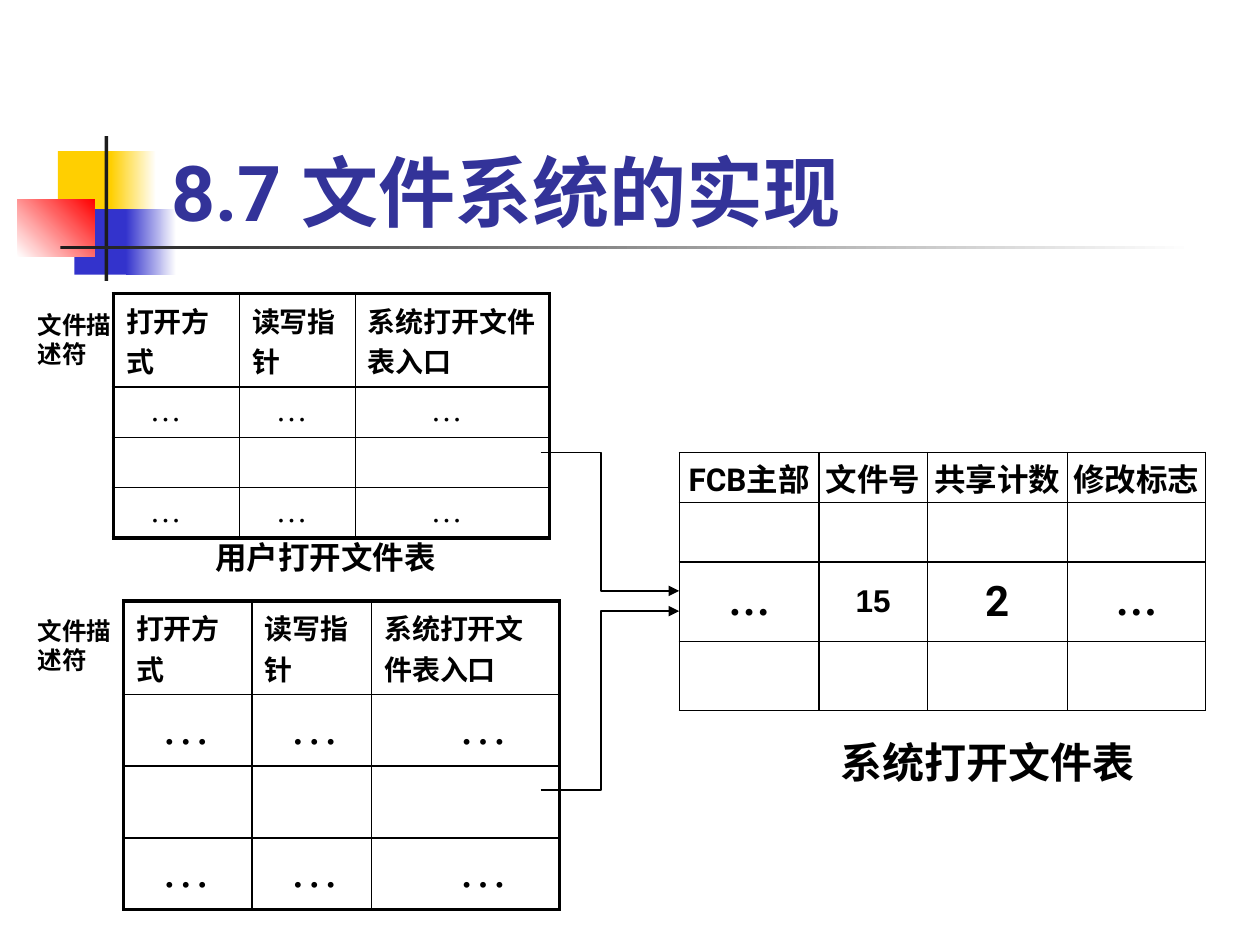
from dataclasses import dataclass
from typing import Any

from lxml.etree import SubElement
from pptx import Presentation
from pptx.dml.color import RGBColor
from pptx.enum.shapes import MSO_SHAPE
from pptx.enum.text import MSO_ANCHOR, MSO_AUTO_SIZE, PP_ALIGN
from pptx.oxml.ns import qn
from pptx.util import Inches, Pt

BLACK = "000000"
WHITE = "FFFFFF"
YELLOW = "FFCF01"
BLUE = "3333CC"
RED = "FF0000"
CHARCOAL = "1C1C1C"
TITLE_BLUE = "333399"
DOTS = "…"


@dataclass
class Block:
    box: tuple[float, float, float, float]
    colors: tuple[str, ...]
    angle: int = 0


@dataclass
class TextStyle:
    size: float
    font: str = "Roboto"
    bold: bool = True
    color: str = BLACK


@dataclass
class Caption:
    text: str
    box: tuple[float, float, float, float]
    style: TextStyle


@dataclass
class Grid:
    left: float
    top: float
    columns: tuple[float, ...]
    rows: tuple[float, ...]
    outer: float
    inner: float


@dataclass
class UserFileTable:
    grid: Grid
    dots: TextStyle
    indents: tuple[float, ...]


HEADER = TextStyle(16)
LABEL = TextStyle(14, "Arial")

BLOCKS = [
    Block((0.46, 1.2, 0.48, 0.52), (YELLOW,)),
    Block((0.88, 1.2, 0.36, 0.52), (YELLOW, WHITE)),
    Block((0.59, 1.66, 0.46, 0.52), (BLUE,)),
    Block((1, 1.66, 0.4, 0.52), (BLUE, WHITE)),
    Block((0.14, 1.58, 0.61, 0.46), (WHITE, RED), 45),
    Block((0.83, 1.08, 0.03, 1.15), (CHARCOAL,)),
    Block((0.48, 1.95, 9, 0.03), (CHARCOAL, WHITE)),
]
USER_TABLES = [
    UserFileTable(
        Grid(0.9, 2.33, (1, 0.92, 1.54), (0.63, 0.4, 0.4, 0.4), 2.25, 1),
        TextStyle(18, "Times New Roman", False), (0.29, 0.29, 0.6)),
    UserFileTable(
        Grid(0.98, 4.77, (1.02, 0.95, 1.49), (0.63, 0.57, 0.57, 0.57), 2.25, 1),
        TextStyle(28, "Times New Roman", False), (0.3, 0.3, 0.69)),
]
USER_HEADERS = ("打开方式", "读写指针", "系统打开文件表入口")
SYSTEM_GRID = Grid(5.39, 3.59, (1.11, 0.86, 1.11, 1.1), (0.4, 0.47, 0.63, 0.55), 0.75, 0.75)
SYSTEM_HEADERS = ("FCB主部", "文件号", "共享计数", "修改标志")
SYSTEM_ENTRY = (
    (DOTS, TextStyle(24, "Times New Roman")),
    ("15", TextStyle(18, "Arial")),
    ("2", TextStyle(24)),
    (DOTS, TextStyle(24, "Times New Roman")),
)
CAPTIONS = [
    Caption("文件描述符", (0.2, 2.41, 0.79, 0.57), LABEL),
    Caption("文件描述符", (0.2, 4.84, 0.79, 0.57), LABEL),
    Caption("用户打开文件表", (1.61, 4.22, 2.28, 0.4), TextStyle(18, "Arial")),
    Caption("系统打开文件表", (6.57, 5.8, 2.6, 0.5), TextStyle(24)),
]
POINTERS = [(3.59, 4.69), (6.27, 4.85)]


def rgb(value: str) -> RGBColor:
    return RGBColor.from_string(value)


def apply(target: Any, formats: dict[str, Any]) -> None:
    for name, value in formats.items():
        setattr(target, name, value)


def write(frame: Any, text: str, style: TextStyle, align: Any = PP_ALIGN.LEFT) -> None:
    paragraph = frame.paragraphs[0]
    paragraph.alignment = align
    target = paragraph
    if text:
        target = paragraph.add_run()
        target.text = text
    apply(target.font, {"size": Pt(style.size), "name": style.font, "bold": style.bold})
    target.font.color.rgb = rgb(style.color)


def draw_block(shapes: Any, block: Block) -> None:
    shape = shapes.add_shape(MSO_SHAPE.RECTANGLE, *map(Inches, block.box))
    shape.shadow.inherit = False
    shape.line.fill.background()
    if len(block.colors) == 1:
        shape.fill.solid()
        shape.fill.fore_color.rgb = rgb(block.colors[0])
        return
    shape.fill.gradient()
    shape.fill.gradient_angle = block.angle
    for position, (stop, color) in enumerate(zip(shape.fill.gradient_stops, block.colors)):
        stop.position = position
        stop.color.rgb = rgb(color)


def set_borders(cell: Any, widths: dict[str, float]) -> None:
    properties = cell._tc.get_or_add_tcPr()
    for side, width in widths.items():
        line = SubElement(properties, qn(f"a:ln{side}"), w=str(Pt(width)))
        fill = SubElement(line, qn("a:solidFill"))
        SubElement(fill, qn("a:srgbClr"), val=BLACK)


def draw_grid(shapes: Any, grid: Grid) -> Any:
    last_row, last_column = len(grid.rows) - 1, len(grid.columns) - 1
    table = shapes.add_table(
        last_row + 1, last_column + 1, Inches(grid.left), Inches(grid.top),
        Inches(sum(grid.columns)), Inches(sum(grid.rows))).table
    apply(table, {"first_row": False, "horz_banding": False})
    for column, width in zip(table.columns, grid.columns):
        column.width = Inches(width)
    for row, height in zip(table.rows, grid.rows):
        row.height = Inches(height)
    for r, row in enumerate(table.rows):
        for c, cell in enumerate(row.cells):
            edges = {"L": c == 0, "R": c == last_column, "T": r == 0, "B": r == last_row}
            set_borders(cell, {s: grid.outer if edge else grid.inner for s, edge in edges.items()})
            cell.fill.solid()
            cell.fill.fore_color.rgb = rgb(WHITE)
    return table


def draw_user_table(shapes: Any, user: UserFileTable) -> None:
    table = draw_grid(shapes, user.grid)
    for column, (header, indent) in enumerate(zip(USER_HEADERS, user.indents)):
        write(table.cell(0, column).text_frame, header, HEADER)
        for row, text in enumerate((DOTS, "", DOTS), start=1):
            cell = table.cell(row, column)
            cell.margin_left = Inches(indent)
            write(cell.text_frame, text, user.dots)


def draw_system_table(shapes: Any) -> None:
    table = draw_grid(shapes, SYSTEM_GRID)
    blank = [("", TextStyle(18))] * len(SYSTEM_HEADERS)
    headers = [(header, TextStyle(18)) for header in SYSTEM_HEADERS]
    for row, entries in zip(table.rows, (headers, blank, SYSTEM_ENTRY, blank)):
        for cell, (text, style) in zip(row.cells, entries):
            apply(cell, {"margin_left": 0, "margin_right": 0, "margin_top": 0,
                         "margin_bottom": 0, "vertical_anchor": MSO_ANCHOR.MIDDLE})
            write(cell.text_frame, text, style, PP_ALIGN.CENTER)


def draw_pointer(shapes: Any, start: float, end: float) -> None:
    builder = shapes.build_freeform(Inches(4.29), Inches(start))
    bends = [(4.77, start), (4.77, end), (5.39, end)]
    builder.add_line_segments([(Inches(x), Inches(y)) for x, y in bends], close=False)
    pointer = builder.convert_to_shape()
    pointer.shadow.inherit = False
    pointer.fill.background()
    pointer.line.color.rgb = rgb(BLACK)
    pointer.line.width = Pt(0.75)
    SubElement(pointer.element.spPr.find(qn("a:ln")), qn("a:tailEnd"), type="triangle")


def draw_caption(shapes: Any, caption: Caption) -> None:
    frame = shapes.add_textbox(*map(Inches, caption.box)).text_frame
    frame.word_wrap = True
    write(frame, caption.text, caption.style)


def main() -> None:
    deck = Presentation()
    apply(deck, {"slide_width": Inches(10), "slide_height": Inches(7.5)})
    shapes = deck.slides.add_slide(deck.slide_layouts[5]).shapes
    for block in BLOCKS:
        draw_block(shapes, block)
    title = shapes.title
    shapes.element.append(title.element)
    apply(title, {"left": Inches(1.26), "top": Inches(0.68),
                  "width": Inches(8.52), "height": Inches(1.25)})
    apply(title.text_frame, {"vertical_anchor": MSO_ANCHOR.BOTTOM, "auto_size": MSO_AUTO_SIZE.NONE})
    write(title.text_frame, "8.7 文件系统的实现", TextStyle(44, color=TITLE_BLUE))
    for user in USER_TABLES:
        draw_user_table(shapes, user)
    draw_system_table(shapes)
    for start, end in POINTERS:
        draw_pointer(shapes, start, end)
    for caption in CAPTIONS:
        draw_caption(shapes, caption)
    deck.save("out.pptx")


if __name__ == "__main__":
    main()
